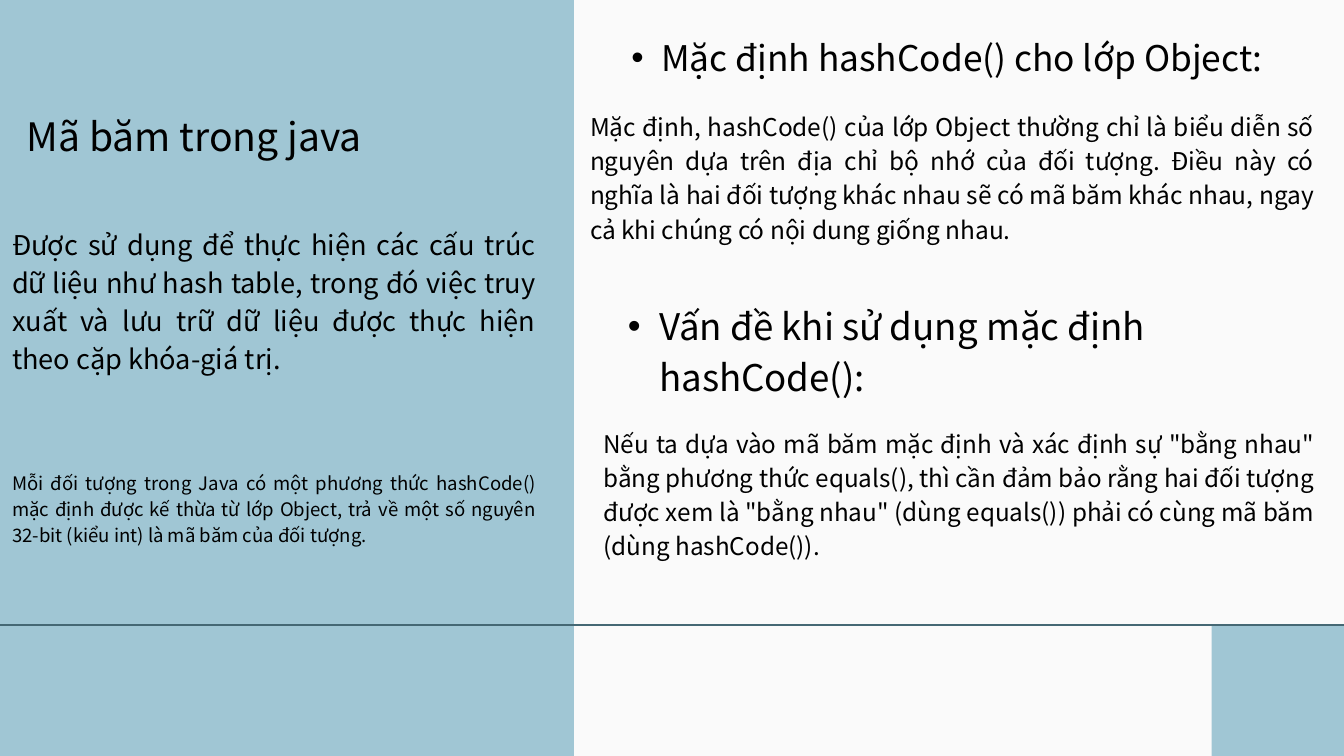
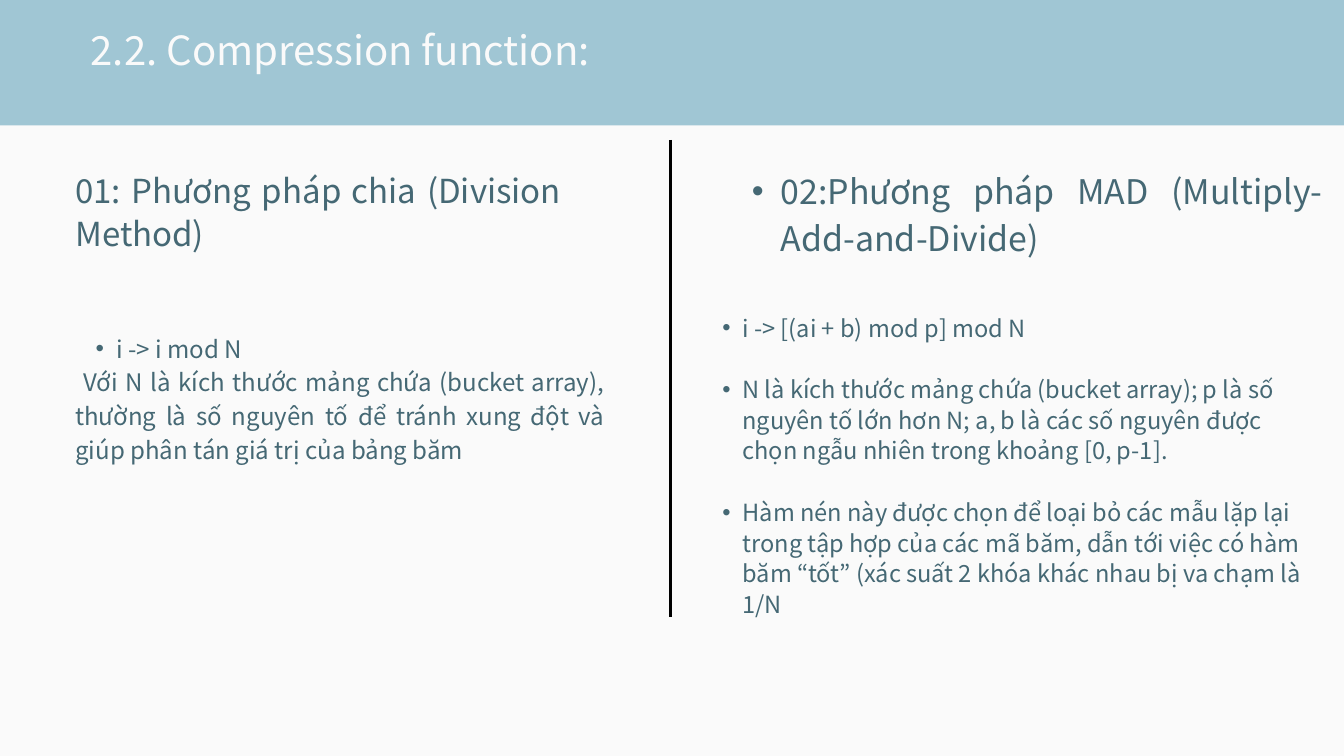
import pptx
import pptx.util
import pptx.dml.color
import pptx.enum.shapes
import pptx.enum.text
from lxml import etree

RGB = pptx.dml.color.RGBColor
ALIGN = pptx.enum.text.PP_ALIGN

PAPER = RGB(0xFA, 0xFA, 0xFA)
SKY = RGB(0xA0, 0xC6, 0xD4)
SLATE = RGB(0x45, 0x68, 0x74)
BLACK = RGB(0, 0, 0)
FONT = "Noto Sans CJK JP"

# The slide is a grid of square cells, a quarter of an inch wide
COLS, ROWS = 80, 45
TITLE_ONLY = 5


def cells(count):
    return pptx.util.Inches(count / 4)


def new_slide(deck):
    slide = deck.slides.add_slide(deck.slide_layouts[TITLE_ONLY])
    slide.background.fill.solid()
    slide.background.fill.fore_color.rgb = PAPER
    return slide


def add_panel(slide, *box):
    panel = slide.shapes.add_shape(
        pptx.enum.shapes.MSO_SHAPE.RECTANGLE, *map(cells, box))
    panel.shadow.inherit = False
    panel.fill.solid()
    panel.fill.fore_color.rgb = SKY
    panel.line.fill.background()


def add_rule(slide, ends, color):
    rule = slide.shapes.add_connector(
        pptx.enum.shapes.MSO_CONNECTOR.STRAIGHT, *map(cells, ends))
    rule.line.color.rgb = color
    rule.line.width = pptx.util.Pt(3)
    etree.SubElement(rule.element.spPr, pptx.oxml.ns.qn("a:effectLst"))


def set_indent(paragraph, margin, first_line):
    properties = paragraph._p.get_or_add_pPr()
    properties.set("marL", str(cells(margin)))
    properties.set("indent", str(cells(first_line)))
    return properties


def add_bullet(paragraph, hang):
    """Hang the text by one step behind a bullet that is itself one step in."""
    paragraph.level = 1
    properties = set_indent(paragraph, 2 * hang, -hang)
    font = etree.SubElement(properties, pptx.oxml.ns.qn("a:buFont"))
    font.set("typeface", "Arial")
    mark = etree.SubElement(properties, pptx.oxml.ns.qn("a:buChar"))
    mark.set("char", "•")


def style_paragraph(paragraph, size, leading, color, align):
    paragraph.alignment = align
    paragraph.line_spacing = pptx.util.Pt(leading)
    paragraph.font.name = FONT
    paragraph.font.size = pptx.util.Pt(size)
    paragraph.font.color.rgb = color


def prepare_frame(frame):
    frame.margin_left = frame.margin_right = 0
    frame.margin_top = frame.margin_bottom = 0
    frame.word_wrap = True
    frame.auto_size = pptx.enum.text.MSO_AUTO_SIZE.NONE
    frame.vertical_anchor = pptx.enum.text.MSO_ANCHOR.TOP


def set_title(slide, box, text, size, leading, color, align=ALIGN.LEFT):
    """Place the title and bring it in front of the panels."""
    title = slide.shapes.title
    title.left, title.top, title.width, title.height = map(cells, box)
    prepare_frame(title.text_frame)
    title.text_frame.text = text
    style_paragraph(title.text_frame.paragraphs[0], size, leading, color, align)
    title.element.getparent().append(title.element)


def add_text(slide, box, texts, size, leading, color,
             align=ALIGN.JUSTIFY, hang=0, bulleted=None, gap=0):
    """Write one paragraph per text; hang puts bullets on the first ones."""
    frame = slide.shapes.add_textbox(*map(cells, box)).text_frame
    prepare_frame(frame)
    bulleted = len(texts) if bulleted is None else bulleted
    for index, text in enumerate(texts):
        paragraph = frame.add_paragraph() if index else frame.paragraphs[0]
        paragraph.text = text
        if hang and index < bulleted:
            add_bullet(paragraph, hang)
        if index and gap:
            paragraph.space_before = pptx.util.Pt(gap)
        style_paragraph(paragraph, size, leading, color, align)
    return frame


def build_hash_code(deck):
    slide = new_slide(deck)
    corner, floor, bleed = 72.12, 37.2, 1.36
    add_panel(slide, 0, -bleed, 34.16, ROWS + 2 * bleed)
    add_panel(slide, corner, floor, COLS - corner, ROWS - floor)
    add_rule(slide, (83.2, floor, -47.2, floor), SLATE)
    set_title(slide, (0.96, 6.24, 21.2, 3.12), "Mã băm trong java",
              41.9, 58.6, BLACK, ALIGN.CENTER)

    add_text(slide, (0.72, 13.28, 31.2, 11.16), [
        "Được sử dụng để thực hiện các cấu trúc dữ liệu như hash table, "
        "trong đó việc truy xuất và lưu trữ dữ liệu được thực hiện theo cặp "
        "khóa-giá trị."], 29.1, 40.7, BLACK)
    add_text(slide, (0.72, 27.86, 31.2, 6), [
        "Mỗi đối tượng trong Java có một phương thức hashCode() mặc định "
        "được kế thừa từ lớp Object, trả về một số nguyên 32-bit (kiểu int) "
        "là mã băm của đối tượng."], 19.9, 27.8, BLACK)

    add_text(slide, (34.88, 1.72, 41.2, 2.8),
             ["Mặc định hashCode() cho lớp Object:"],
             37.8, 52.9, BLACK, ALIGN.CENTER, hang=1.78)
    add_text(slide, (35.12, 6.36, 43.1, 7.92), [
        "Mặc định, hashCode() của lớp Object thường chỉ là biểu diễn số "
        "nguyên dựa trên địa chỉ bộ nhớ của đối tượng. Điều này có nghĩa là "
        "hai đối tượng khác nhau sẽ có mã băm khác nhau, ngay cả khi chúng "
        "có nội dung giống nhau."], 26.2, 36.7, BLACK)
    add_text(slide, (35.52, 17.66, 43.16, 6),
             ["Vấn đề khi sử dụng mặc định hashCode():"],
             39.3, 55, BLACK, ALIGN.LEFT, hang=1.86)
    add_text(slide, (35.92, 25.26, 42.36, 7.92), [
        'Nếu ta dựa vào mã băm mặc định và xác định sự "bằng nhau" bằng '
        "phương thức equals(), thì cần đảm bảo rằng hai đối tượng được xem "
        'là "bằng nhau" (dùng equals()) phải có cùng mã băm (dùng '
        "hashCode())."], 26, 36.5, BLACK)


def build_compression(deck):
    slide = new_slide(deck)
    divider, band_top, band_bottom = 39.92, -16.16, 7.46
    add_panel(slide, 0, band_top, COLS, band_bottom - band_top)
    set_title(slide, (5.4, 1.52, 51.8, 2.88), "2.2. Compression function:",
              43, 51.6, PAPER)

    add_text(slide, (4.48, 9.94, 28.92, 5),
             ["01: Phương pháp chia (Division Method)"], 35.4, 46, SLATE)
    add_text(slide, (41.8, 18.52, 35.72, 19.64), [
        "i -> [(ai + b) mod p] mod N",
        "N là kích thước mảng chứa (bucket array); p là số nguyên tố lớn hơn "
        "N; a, b là các số nguyên được chọn ngẫu nhiên trong khoảng [0, p-1].",
        "Hàm nén này được chọn để loại bỏ các mẫu lặp lại trong tập hợp của "
        "các mã băm, dẫn tới việc có hàm băm “tốt” (xác suất 2 khóa khác "
        "nhau bị va chạm là 1/N"],
        25.3, 32.9, SLATE, ALIGN.LEFT, hang=1.2, gap=32.9)
    add_text(slide, (43.04, 9.74, 35.72, 8.84),
             ["02:Phương pháp MAD (Multiply-Add-and-Divide)"],
             36.3, 50.8, SLATE, hang=1.72)
    division = add_text(slide, (4.48, 19.6, 31.52, 9.96), [
        "i -> i mod N",
        "Với N là kích thước mảng chứa (bucket array), thường là số nguyên "
        "tố để tránh xung đột và giúp phân tán giá trị của bảng băm"],
        25.8, 36.1, SLATE, hang=1.22, bulleted=1)
    set_indent(division.paragraphs[1], 0, 0.48)
    add_rule(slide, (divider, 8.32, divider, 36.72), BLACK)


def main():
    deck = pptx.Presentation()
    deck.slide_width, deck.slide_height = cells(COLS), cells(ROWS)
    build_hash_code(deck)
    build_compression(deck)
    deck.save("out.pptx")


if __name__ == "__main__":
    main()
